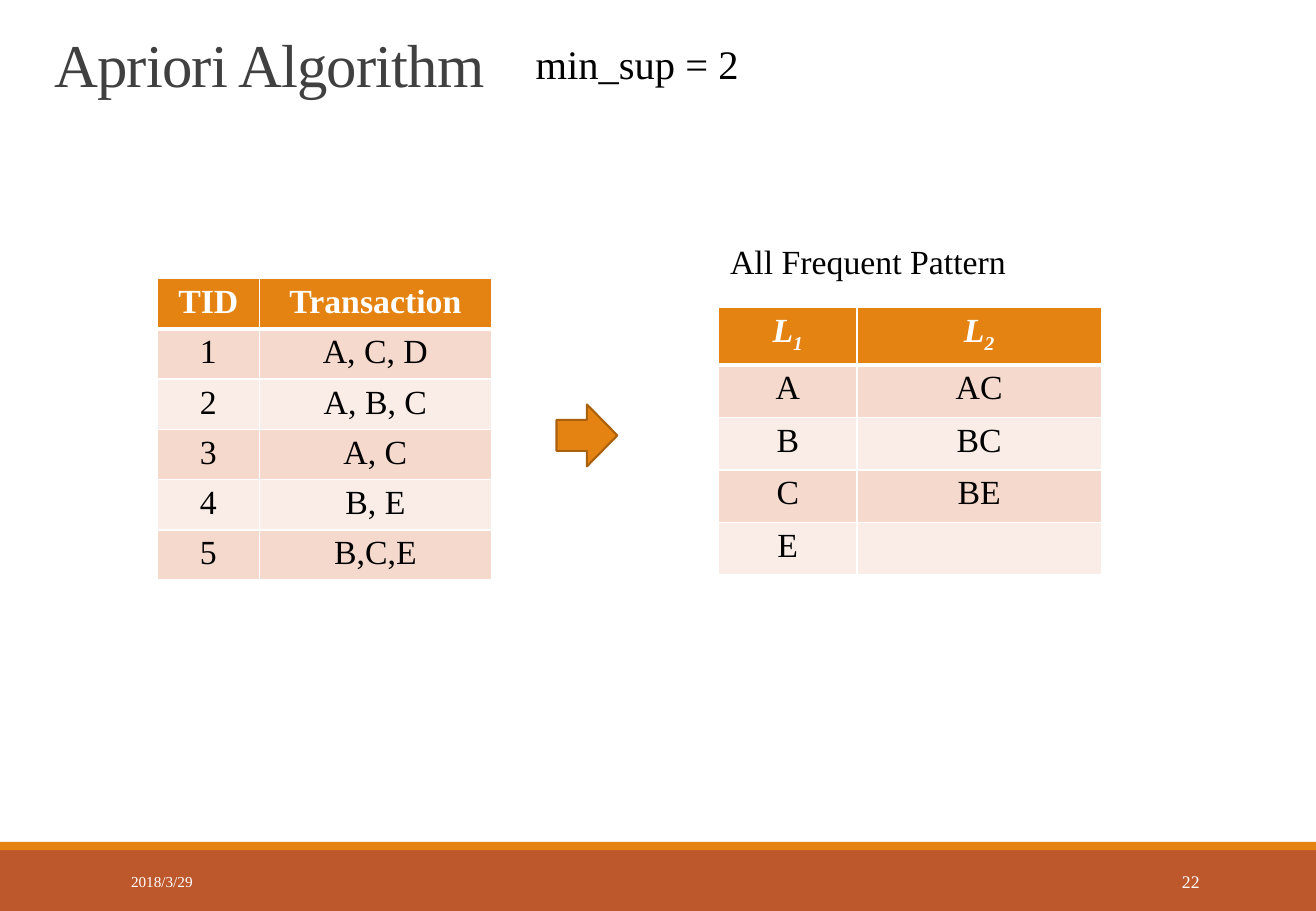
import dataclasses
import typing

import lxml.etree
import pptx
import pptx.dml.color
import pptx.enum.shapes
import pptx.enum.text
import pptx.oxml.ns
import pptx.slide
import pptx.util

RGB = pptx.dml.color.RGBColor
WHITE = RGB(0xFF, 0xFF, 0xFF)
BLACK = RGB(0x00, 0x00, 0x00)
GREY = RGB(0x40, 0x40, 0x40)
ORANGE = RGB(0xE4, 0x83, 0x12)
BROWN = RGB(0xA9, 0x61, 0x0D)
RUST = RGB(0xBD, 0x58, 0x2C)
PEACH = RGB(0xF5, 0xD9, 0xCC)
CREAM = RGB(0xFA, 0xED, 0xE7)

FACE = "Times New Roman"
WIDTH = pptx.util.Inches(10.83)
HEIGHT = pptx.util.Inches(7.5)
ALIGN = pptx.enum.text.PP_ALIGN
ANCHOR = pptx.enum.text.MSO_ANCHOR
SHAPE = pptx.enum.shapes.MSO_SHAPE


@dataclasses.dataclass
class Box:
    """Left, top, width and height in percent of the slide."""
    left: float
    top: float
    width: float
    height: float

    def place(self) -> tuple[int, int, int, int]:
        return across(self.left), down(self.top), across(self.width), down(self.height)


@dataclasses.dataclass
class Label:
    text: str
    box: Box
    size: float
    color: RGB = BLACK
    anchor: ANCHOR = ANCHOR.TOP
    align: ALIGN = ALIGN.LEFT
    wrap: bool = False
    line: float = 1.0
    track: int = 0


@dataclasses.dataclass
class Block:
    kind: SHAPE
    box: Box
    fill: RGB
    edge: typing.Optional[RGB] = None


@dataclasses.dataclass
class Grid:
    left: float
    top: float
    cols: list[float]
    head: float
    body: float
    rows: list[list[str]]
    slant: bool = False


def across(share: float) -> int:
    return round(WIDTH * share / 100)


def down(share: float) -> int:
    return round(HEIGHT * share / 100)


def apply(target: typing.Any, values: dict[str, typing.Any]) -> None:
    for name, value in values.items():
        setattr(target, name, value)


def style(run: typing.Any, size: float, color: RGB, **extra: bool) -> None:
    apply(run.font, {"name": FACE, "size": pptx.util.Pt(size), **extra})
    run.font.color.rgb = color


def draw_block(slide: pptx.slide.Slide, block: Block) -> None:
    shape = slide.shapes.add_shape(block.kind, *block.box.place())
    shape.shadow.inherit = False
    shape.fill.solid()
    shape.fill.fore_color.rgb = block.fill
    if block.edge is None:
        shape.line.fill.background()
    else:
        shape.line.color.rgb = block.edge
        shape.line.width = pptx.util.Pt(1.25)


def draw_label(slide: pptx.slide.Slide, label: Label) -> None:
    frame = slide.shapes.add_textbox(*label.box.place()).text_frame
    apply(frame, {"word_wrap": label.wrap, "vertical_anchor": label.anchor})
    para = frame.paragraphs[0]
    apply(para, {"alignment": label.align, "line_spacing": label.line})
    run = para.add_run()
    run.text = label.text
    style(run, label.size, label.color)
    if label.track:
        run._r.get_or_add_rPr().set("spc", str(label.track))


def draw_edge(cell: typing.Any, side: str, width: float, spot: int) -> None:
    name = pptx.oxml.ns.qn
    line = lxml.etree.Element(name(f"a:ln{side}"), w=str(pptx.util.Pt(width)))
    fill = lxml.etree.SubElement(line, name("a:solidFill"))
    lxml.etree.SubElement(fill, name("a:srgbClr"), val=str(WHITE))
    cell._tc.get_or_add_tcPr().insert(spot, line)


def draw_cell(cell: typing.Any, text: str, row: int, slant: bool) -> None:
    head = row == 0
    apply(cell, {
        "margin_top": pptx.util.Inches(0.04),
        "margin_bottom": pptx.util.Inches(0.04),
        "vertical_anchor": ANCHOR.TOP,
    })
    cell.fill.solid()
    cell.fill.fore_color.rgb = ORANGE if head else (CREAM, PEACH)[row % 2]
    for spot, side in enumerate("LRTB"):
        thick = (head and side == "B") or (row == 1 and side == "T")
        draw_edge(cell, side, 3 if thick else 1, spot)
    para = cell.text_frame.paragraphs[0]
    para.alignment = ALIGN.CENTER
    main, _, sub = text.partition("_")
    for part in filter(None, (main, sub)):
        run = para.add_run()
        run.text = part
        style(run, 20, WHITE if head else BLACK, bold=head, italic=head and slant)
        if part is sub:
            run._r.get_or_add_rPr().set("baseline", "-25000")


def draw_grid(slide: pptx.slide.Slide, grid: Grid) -> None:
    tall = grid.head + grid.body * (len(grid.rows) - 1)
    box = Box(grid.left, grid.top, sum(grid.cols), tall)
    table = slide.shapes.add_table(len(grid.rows), len(grid.cols), *box.place()).table
    for col, share in zip(table.columns, grid.cols):
        col.width = across(share)
    for row, texts in enumerate(grid.rows):
        table.rows[row].height = down(grid.body if row else grid.head)
        for col, text in enumerate(texts):
            draw_cell(table.cell(row, col), text, row, grid.slant)


BLOCKS = [
    Block(SHAPE.RECTANGLE, Box(0, 93.33, 100, 6.67), RUST),
    Block(SHAPE.RECTANGLE, Box(0, 92.4, 100, 0.93), ORANGE),
    Block(SHAPE.RIGHT_ARROW, Box(42.29, 44.4, 4.62, 6.8), ORANGE, BROWN),
]
LABELS = [
    Label("2018/3/29", Box(9.05, 94.13, 20.31, 5.33), 9, WHITE, ANCHOR.MIDDLE, wrap=True),
    Label("22", Box(81.26, 94.13, 10.8, 5.33), 10.5, WHITE, ANCHOR.MIDDLE,
          ALIGN.RIGHT, wrap=True),
    Label("Apriori Algorithm", Box(3.23, 2.53, 82.55, 9.07), 36, GREY, ANCHOR.BOTTOM,
          wrap=True, line=0.85, track=-50),
    Label("min_sup = 2", Box(39.8, 3.6, 17.45, 6.67), 24),
    Label("All Frequent Pattern", Box(54.57, 25.73, 22.99, 5.87), 20),
]
GRIDS = [
    Grid(11.95, 30.6, [7.76, 17.64], 5.33, 5.43, [
        ["TID", "Transaction"], ["1", "A, C, D"], ["2", "A, B, C"],
        ["3", "A, C"], ["4", "B, E"], ["5", "B,C,E"],
    ]),
    Grid(54.6, 33.7, [10.53, 18.56], 6.36, 5.76, [
        ["L_1", "L_2"], ["A", "AC"], ["B", "BC"], ["C", "BE"], ["E", ""],
    ], slant=True),
]


def main() -> None:
    deck = pptx.Presentation()
    apply(deck, {"slide_width": WIDTH, "slide_height": HEIGHT})
    slide = deck.slides.add_slide(deck.slide_layouts[6])
    for block in BLOCKS:
        draw_block(slide, block)
    for label in LABELS:
        draw_label(slide, label)
    for grid in GRIDS:
        draw_grid(slide, grid)
    deck.save("out.pptx")


if __name__ == "__main__":
    main()
